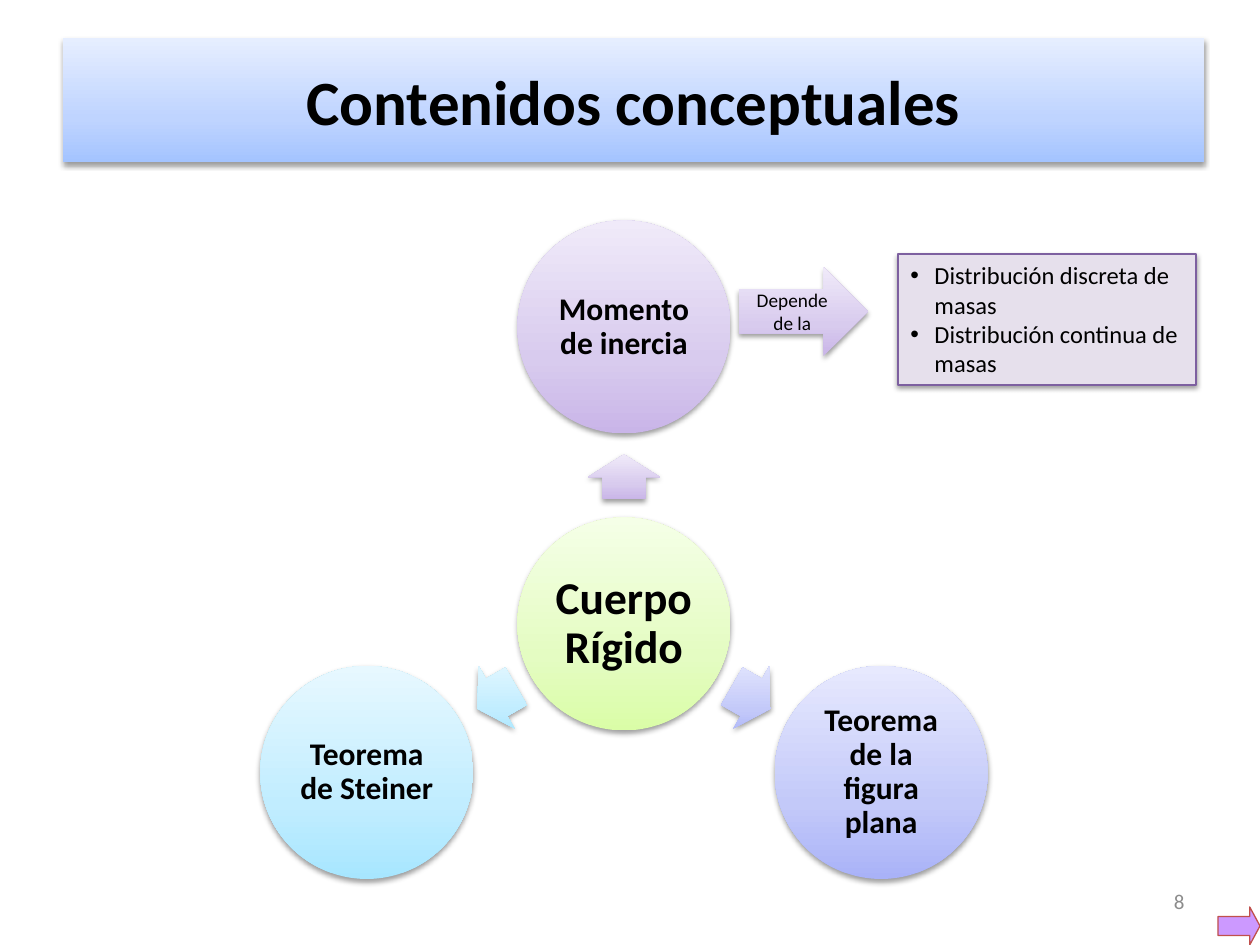
from dataclasses import dataclass
from math import cos, radians, sin

from lxml.etree import SubElement
from pptx import Presentation
from pptx.dml.color import RGBColor
from pptx.enum.shapes import MSO_SHAPE
from pptx.enum.text import MSO_ANCHOR, PP_ALIGN
from pptx.oxml.ns import qn
from pptx.util import Emu, Inches, Pt

PX = Inches(1) / 126
CENTER_X, CENTER_Y = 624, 624
DIAMETER = 213
RING_RADIUS = 297
ARROW_RADIUS = 147
ARROW_LENGTH, ARROW_WIDTH = 45, 72

# Gradients run from the bottom colour to the top colour
BLUE = ("A4C4FF", "BFD4FF", "E6EEFF")
GREEN = ("DAFDA7", "E4FCC2", "F5FFE7")
PURPLE = ("C9B5E8", "D8CBEE", "F0EAF9")
INDIGO = ("A9B2F8", "C3C9F9", "E7E9FE")
CYAN = ("A7E6FF", "C1EDFF", "E7F8FF")


@dataclass
class Topic:
    text: str
    angle: int
    colors: tuple[str, str, str]


TOPICS = [
    Topic("Momento de inercia", 270, PURPLE),
    Topic("Teorema de la figura plana", 30, INDIGO),
    Topic("Teorema de Steiner", 150, CYAN),
]


def px(value: float) -> Emu:
    return Emu(round(value * PX))


def color(value: str) -> RGBColor:
    return RGBColor.from_string(value)


def add_block(page, kind, left: float, top: float, width: float, height: float):
    block = page.shapes.add_shape(kind, px(left), px(top), px(width), px(height))
    block.line.fill.background()
    block.shadow.inherit = False
    return block


def set_outline(block, fill: str, line: str) -> None:
    block.fill.solid()
    block.fill.fore_color.rgb = color(fill)
    block.line.color.rgb = color(line)
    block.line.width = Pt(0.75)


def set_gradient(block, colors: tuple[str, str, str]) -> None:
    block.fill.gradient()
    block.fill.gradient_angle = 90
    gradient = block.element.spPr.find(qn("a:gradFill"))
    gradient.set("rotWithShape", "0")
    stops = gradient.find(qn("a:gsLst"))
    for stop in list(stops):
        stops.remove(stop)
    for position, value in zip((0, 35, 100), colors):
        stop = SubElement(stops, qn("a:gs"), pos=str(position * 1000))
        SubElement(stop, qn("a:srgbClr"), val=value)


def add_shadow(block) -> None:
    effects = block.element.spPr.find(qn("a:effectLst"))
    shadow = SubElement(effects, qn("a:outerShdw"), blurRad=str(Pt(3.1)),
                        dist=str(Pt(1.6)), dir="5400000", rotWithShape="0")
    black = SubElement(shadow, qn("a:srgbClr"), val="000000")
    SubElement(black, qn("a:alpha"), val="38000")


def set_text(box, text: str, size: int, bold: bool = False, ink: str = "000000",
             align=PP_ALIGN.CENTER, anchor=MSO_ANCHOR.MIDDLE) -> None:
    frame = box.text_frame
    frame.text = text
    frame.word_wrap = True
    frame.vertical_anchor = anchor
    for para in frame.paragraphs:
        para.alignment = align
        for span in para.runs:
            span.font.name = "Calibri"
            span.font.size = Pt(size)
            span.font.bold = bold
            span.font.color.rgb = color(ink)


def add_circle(page, x: float, y: float, text: str, size: int,
               colors: tuple[str, str, str]) -> None:
    circle = add_block(page, MSO_SHAPE.OVAL, x - DIAMETER / 2, y - DIAMETER / 2,
                       DIAMETER, DIAMETER)
    set_gradient(circle, colors)
    add_shadow(circle)
    set_text(circle, text, size, bold=True)
    frame = circle.text_frame
    frame.margin_left = frame.margin_right = px(4)
    frame.margin_top = frame.margin_bottom = px(4)
    frame.paragraphs[0].line_spacing = 0.9


def add_topic(page, topic: Topic) -> None:
    across, down = cos(radians(topic.angle)), sin(radians(topic.angle))
    arrow = add_block(page, MSO_SHAPE.RIGHT_ARROW,
                      CENTER_X + ARROW_RADIUS * across - ARROW_LENGTH / 2,
                      CENTER_Y + ARROW_RADIUS * down - ARROW_WIDTH / 2,
                      ARROW_LENGTH, ARROW_WIDTH)
    arrow.adjustments[0] = 0.6
    arrow.rotation = topic.angle
    set_gradient(arrow, topic.colors)
    add_shadow(arrow)
    add_circle(page, CENTER_X + RING_RADIUS * across, CENTER_Y + RING_RADIUS * down,
               topic.text, 18, topic.colors)


def add_bullets(box, indent: int) -> None:
    for para in box.text_frame.paragraphs:
        properties = para._p.get_or_add_pPr()
        properties.set("marL", str(px(indent)))
        properties.set("indent", str(-px(indent)))
        SubElement(properties, qn("a:buFont"), typeface="Arial")
        SubElement(properties, qn("a:buChar"), char="•")


def main() -> None:
    deck = Presentation()
    deck.slide_width, deck.slide_height = Inches(10), Inches(7.5)
    page = deck.slides.add_slide(deck.slide_layouts[6])

    # Title band
    title = add_block(page, MSO_SHAPE.RECTANGLE, 63, 38, 1141, 124)
    set_gradient(title, BLUE)
    add_shadow(title)
    set_text(title, "Contenidos conceptuales", 36, bold=True)
    title.text_frame.paragraphs[0].space_before = Pt(7.2)

    # Page number
    number = page.shapes.add_textbox(px(903), px(876), px(294), px(50))
    set_text(number, "8", 12, ink="8C8C8C", align=PP_ALIGN.RIGHT)

    # Radial diagram
    add_circle(page, CENTER_X, CENTER_Y, "Cuerpo Rígido", 26, GREEN)
    for topic in TOPICS:
        add_topic(page, topic)

    # What the moment of inertia depends on
    cases = add_block(page, MSO_SHAPE.RECTANGLE, 898, 254, 298, 131)
    set_outline(cases, "E6E0EC", "7D60A0")
    add_shadow(cases)
    set_text(cases, "Distribución discreta de masas\nDistribución continua de masas",
             14, align=PP_ALIGN.LEFT, anchor=MSO_ANCHOR.TOP)
    add_bullets(cases, 24)

    depends = add_block(page, MSO_SHAPE.RIGHT_ARROW, 739, 267, 129, 89)
    set_gradient(depends, PURPLE)
    add_shadow(depends)
    set_text(depends, "Depende de la", 11)

    # Corner arrow
    corner = add_block(page, MSO_SHAPE.RIGHT_ARROW, 1218, 907, 42, 38)
    corner.adjustments[1] = 0.27
    set_outline(corner, "CC99FF", "C0504D")

    deck.save("out.pptx")


if __name__ == "__main__":
    main()
